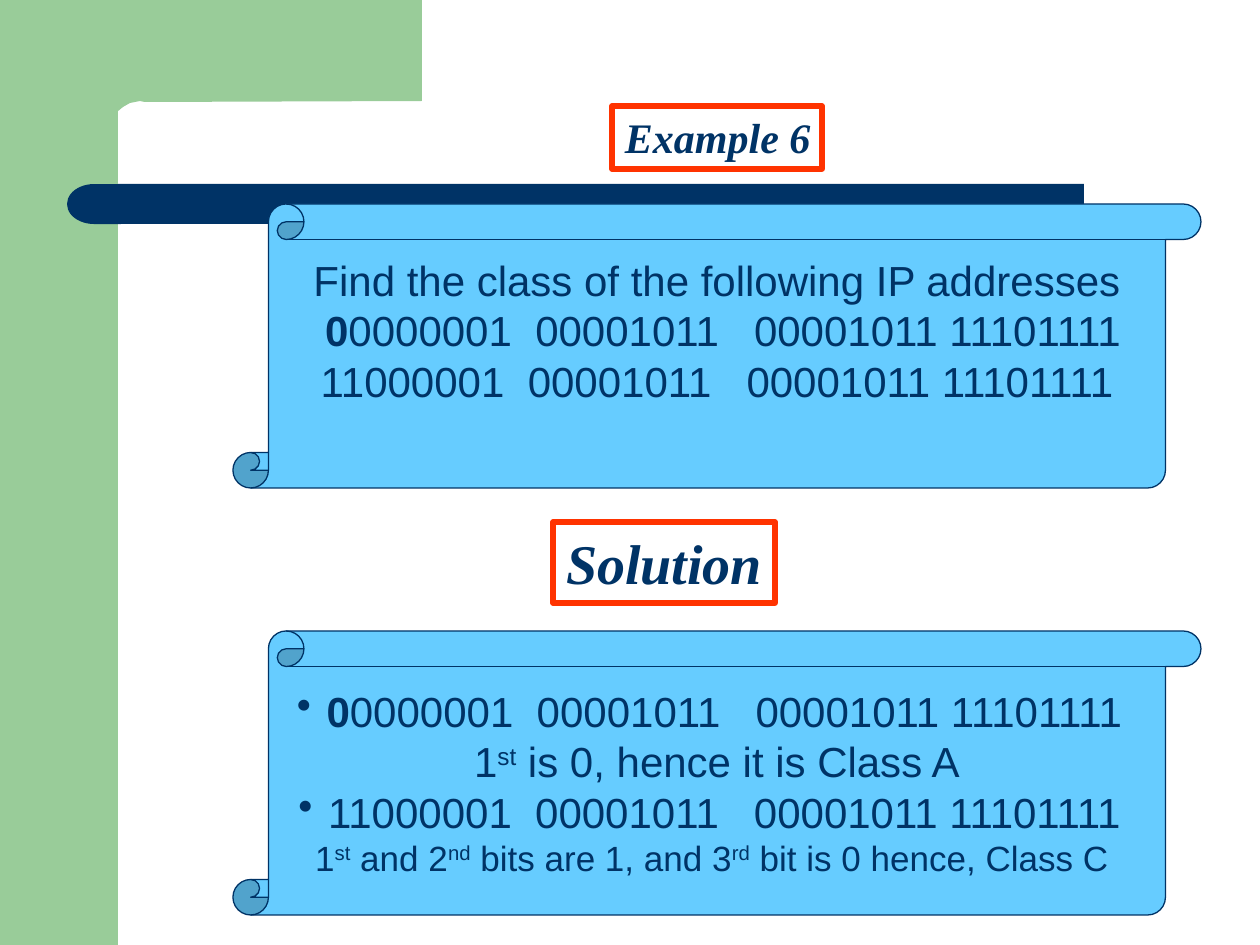
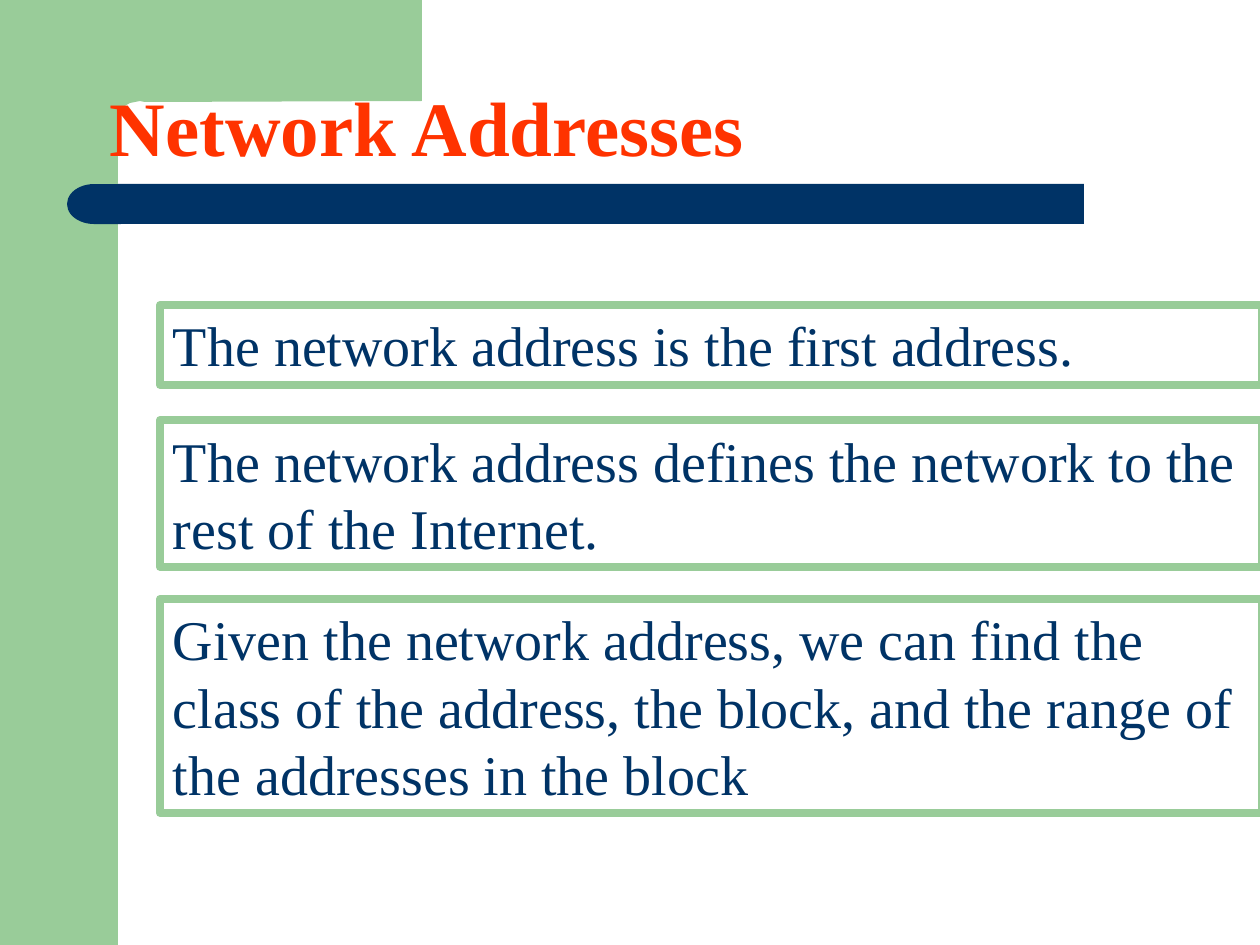
from lxml.etree import SubElement
from pptx import Presentation
from pptx.dml.color import RGBColor
from pptx.enum.shapes import MSO_SHAPE as Preset
from pptx.enum.text import MSO_ANCHOR as Anchor, PP_ALIGN as Align
from pptx.oxml.ns import qn
from pptx.util import Emu, Pt

PX = 914400 / 126
COLORS = {"navy": "003366", "green": "99CC99", "red": "FF3300", "sky": "66CCFF", "white": "FFFFFF"}
SERIF, SANS = "Times New Roman", "Arial"
SPACE_WIDTH = 667  # one 24 pt space, in hundredths of a point


def px(count):
    return Emu(round(count * PX))


def color(name):
    return RGBColor.from_string(COLORS[name])


def style(shape, fill=None, line=None, width=1):
    shape.shadow.inherit = False
    if fill:
        shape.fill.solid()
        shape.fill.fore_color.rgb = color(fill)
    else:
        shape.fill.background()
    if line:
        shape.line.color.rgb = color(line)
        shape.line.width = Pt(width)
    else:
        shape.line.fill.background()


def add_preset(page, preset, box, **look):
    shape = page.shapes.add_shape(preset, *map(px, box))
    style(shape, **look)
    return shape


def set_frame(shape, wrap, anchor=Anchor.TOP, bottom=6):
    frame = shape.text_frame
    settings = {"word_wrap": wrap, "vertical_anchor": anchor,
                "margin_left": px(13), "margin_right": px(13),
                "margin_top": px(6), "margin_bottom": px(bottom)}
    for name, value in settings.items():
        setattr(frame, name, value)
    return frame


def write(para, spans, size, face, ink="navy", align=Align.LEFT, bullet=False, margins=None, **font):
    """Fill a paragraph with (text, run attributes) spans."""
    props = para._p.get_or_add_pPr()
    for name, length in (margins or {}).items():
        props.set(name, str(px(length)))
    if bullet:
        tint = SubElement(props, qn("a:buClr"))
        SubElement(tint, qn("a:srgbClr")).set("val", COLORS[ink])
        SubElement(props, qn("a:buChar")).set("char", "•")
    para.alignment = align
    para.line_spacing = Pt(1.2 * size)
    for text, attributes in spans:
        span = para.add_run()
        span.text = text
        for name, value in {"size": Pt(size), "name": face, **font}.items():
            setattr(span.font, name, value)
        span.font.color.rgb = color(ink)
        for name, value in attributes.items():
            span._r.get_or_add_rPr().set(name, value)


def address(first, bold_bits=0):
    """Spans of a binary address, with wider gaps after its first two octets."""
    spans = [(first[:bold_bits], {"b": "1"})] if bold_bits else []
    return spans + [(first[bold_bits:], {}), (" ", {"spc": str(SPACE_WIDTH)}),
                    ("00001011", {}), (" ", {"spc": str(2 * SPACE_WIDTH)}),
                    ("00001011 11101111", {})]


def ordinals(*pieces):
    """Spans in which every second piece is a superscript."""
    return [(text, {"baseline": "30000"} if index % 2 else {})
            for index, text in enumerate(pieces)]


def add_backdrop(page):
    add_preset(page, Preset.RECTANGLE, (0, 0, 118, 945), fill="green")
    corner = page.shapes.build_freeform(422, 0, scale=PX)
    corner.add_line_segments([
        (422, 101), (145, 102), (140, 101), (130, 103), (123, 107), (117, 112),
        (112, 119), (110, 126), (108, 134), (107, 141), (107, 155), (67, 155), (67, 0)])
    style(corner.convert_to_shape(), fill="green")
    add_preset(page, Preset.RECTANGLE, (118, 184, 966, 40), fill="navy")
    cap = add_preset(page, Preset.FLOWCHART_DELAY, (67, 184, 54, 40), fill="navy")
    cap.rotation = 180


def add_label(page, box, text, size):
    label = add_preset(page, Preset.RECTANGLE, box, fill="white", line="red", width=3)
    para = set_frame(label, wrap=False).paragraphs[0]
    write(para, [(text, {})], size, SERIF, bold=True, italic=True)


def add_scroll(page, top, lines, bottom=6):
    scroll = add_preset(page, Preset.VERTICAL_SCROLL, (233, top, 968, 284),
                        fill="sky", line="navy", width=0.75)
    frame = set_frame(scroll, wrap=False, anchor=Anchor.MIDDLE, bottom=bottom)
    for index, line in enumerate(lines):
        para = frame.add_paragraph() if index else frame.paragraphs[0]
        write(para, **{"size": 24, "face": SANS, "align": Align.CENTER, **line})


def add_title(page, text):
    title = page.shapes.add_textbox(*map(px, (97, 73, 693, 106)))
    para = set_frame(title, wrap=True).paragraphs[0]
    write(para, [(text, {})], 44, SERIF, ink="red", bold=True)


def add_statement(page, top, height, text):
    box = add_preset(page, Preset.RECTANGLE, (160, top, 1102, height), line="green", width=4.5)
    write(set_frame(box, wrap=True).paragraphs[0], [(text, {})], 32, SERIF)


def build_example(page):
    add_backdrop(page)
    add_label(page, (612, 106, 210, 63), "Example 6", 24)
    add_label(page, (553, 522, 222, 81), "Solution", 32)
    class_a, class_c = address("00000001", bold_bits=1), address("11000001")
    add_scroll(page, 204, [
        {"spans": [("Find the class of the following IP addresses", {})]},
        {"spans": class_a, "margins": {"marL": 12}},
        {"spans": class_c},
    ], bottom=56)
    add_scroll(page, 631, [
        {"spans": class_a, "bullet": True},
        {"spans": ordinals("1", "st", " is 0, hence it is Class A")},
        {"spans": class_c, "bullet": True},
        {"spans": ordinals("1", "st", " and 2", "nd", " bits are 1, and 3", "rd",
                           " bit is 0 hence, Class C"),
         "size": 20, "margins": {"marR": 10}},
    ])


def build_network_addresses(page):
    add_backdrop(page)
    add_title(page, "Network Addresses")
    statements = [
        (305, 80, "The network address is the first address."),
        (420, 147, "The network address defines the network to the rest of the Internet."),
        (599, 214, "Given the network address, we can find the class of the address, "
                   "the block, and the range of the addresses in the block"),
    ]
    for top, height, text in statements:
        add_statement(page, top, height, text)


def main():
    deck = Presentation()
    deck.slide_width, deck.slide_height = px(1260), px(945)
    for build in (build_example, build_network_addresses):
        build(deck.slides.add_slide(deck.slide_layouts[6]))
    deck.save("out.pptx")


if __name__ == "__main__":
    main()
